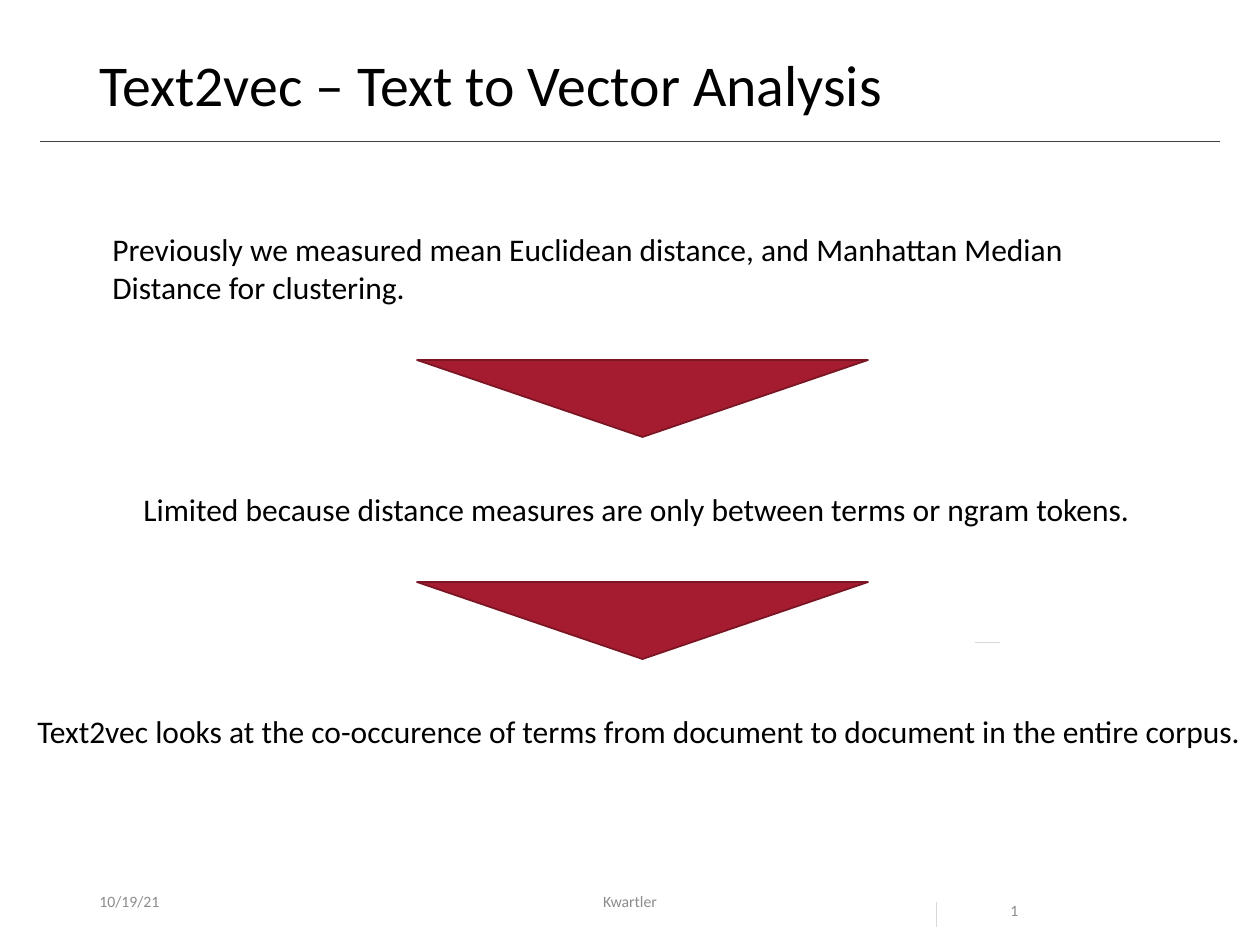
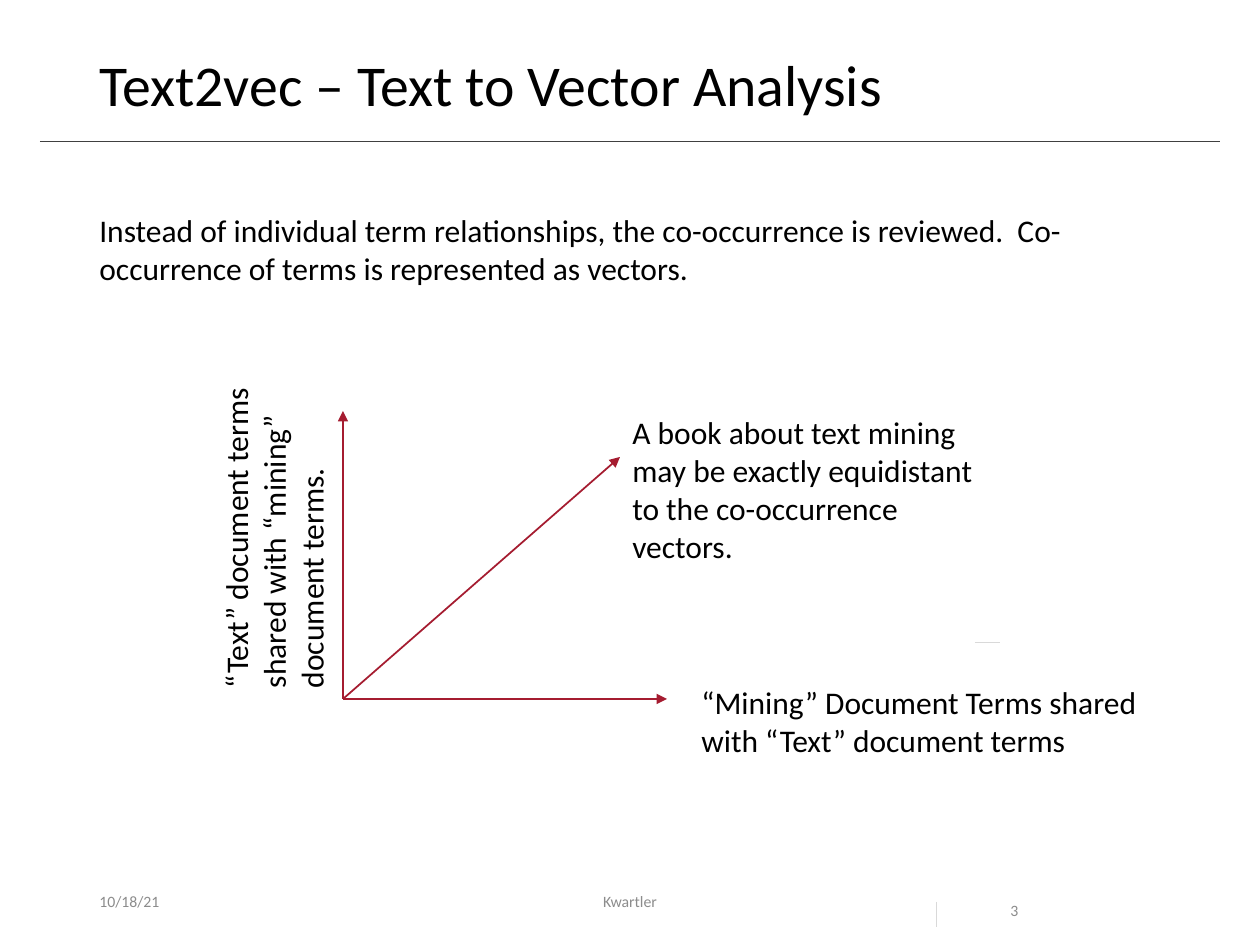
from dataclasses import dataclass

from lxml.etree import SubElement
from pptx import Presentation
from pptx.dml.color import RGBColor as Color
from pptx.enum.shapes import MSO_CONNECTOR as Link, MSO_SHAPE as Shape
from pptx.enum.text import MSO_ANCHOR as Anchor, MSO_AUTO_SIZE as Fit, PP_ALIGN as Align
from pptx.oxml.ns import qn
from pptx.util import Pt

SCALE = 914400 / 126  # EMU in one pixel


@dataclass(frozen=True)
class Theme:
    """Colours, font and type sizes shared by every slide."""
    font: str = "Calibri"
    title_size: int = 33
    body_size: int = 18
    footer_size: int = 9
    ink: str = "000000"
    grey: str = "8C8C8C"
    rule: str = "404040"
    tick: str = "D9D9D9"
    crimson: str = "A51C30"
    dark_crimson: str = "7A1524"


@dataclass(frozen=True)
class Box:
    """A rectangle in pixels."""
    left: int
    top: int
    width: int
    height: int

    def inner(self, left, top, width, height):
        """Return a box placed relative to this one."""
        return Box(self.left + left, self.top + top, width, height)

    def emu(self):
        """Return left, top, width and height in EMU."""
        return [emu(n) for n in (self.left, self.top, self.width, self.height)]


THEME = Theme()
PAGE = Box(0, 0, 1260, 945)
HEADER = Box(40, 50, 1180, 91)
FOOTER = Box(87, 876, 1086, 50)
TITLE = "Text2vec – Text to Vector Analysis"


def emu(pixels):
    """Turn pixels into EMU."""
    return round(pixels * SCALE)


def add_text(page, box, text, size=THEME.body_size, color=THEME.ink, align=None,
             anchor=Anchor.TOP, spacing=None, wrap=True, fit=Fit.SHAPE_TO_FIT_TEXT):
    """Add a text box holding one paragraph."""
    label = page.shapes.add_textbox(*box.emu())
    frame = label.text_frame
    frame.word_wrap, frame.auto_size, frame.vertical_anchor = wrap, fit, anchor
    para = frame.paragraphs[0]
    para.text, para.alignment, para.line_spacing = text, align, spacing
    para.font.name, para.font.size = THEME.font, Pt(size)
    para.font.color.rgb = Color.from_string(color)
    return label


def add_line(page, start, end, color, width=0.5, arrow=False):
    """Add a straight line, with an arrowhead at its end if asked."""
    line = page.shapes.add_connector(Link.STRAIGHT, *map(emu, start + end))
    line.line.color.rgb = Color.from_string(color)
    line.line.width = Pt(width)
    properties = line._element.spPr
    if arrow:
        SubElement(properties.find(qn("a:ln")), qn("a:tailEnd"), type="triangle")
    SubElement(properties, qn("a:effectLst"))


def add_header(page, box):
    """Add the title and the rule below it."""
    bottom = box.top + box.height
    add_line(page, (box.left, bottom), (box.left + box.width, bottom), THEME.rule)
    add_text(page, box.inner(47, 0, 1086, 82), TITLE, THEME.title_size,
             spacing=0.9, fit=Fit.NONE)


def add_footer(page, box, date, number):
    """Add the date, author, slide number and the two pale ticks."""
    small = dict(size=THEME.footer_size, color=THEME.grey, fit=Fit.NONE)
    add_text(page, box.inner(0, 0, 284, box.height), date, anchor=Anchor.MIDDLE, **small)
    add_text(page, box.inner(330, 0, 426, box.height), "Kwartler",
             align=Align.CENTER, anchor=Anchor.MIDDLE, **small)
    add_text(page, box.inner(911, 0, 118, box.height), number, spacing=2.0, **small)
    add_line(page, (box.left + 849, box.top + 26), (box.left + 849, box.top + 51), THEME.tick)
    add_line(page, (box.left + 888, box.top - 234), (box.left + 913, box.top - 234), THEME.tick)


def add_page(deck, date, number):
    """Add a blank slide with the shared header and footer."""
    page = deck.slides.add_slide(deck.slide_layouts[6])
    add_header(page, HEADER)
    add_footer(page, FOOTER, date, number)
    return page


def add_steps(page, box, opening, steps):
    """Add an opening text, then a downward triangle and a line for each step."""
    pitch = 222
    add_text(page, box.inner(100, 0, 1086, 90), opening)
    for index, (text, left, width) in enumerate(steps):
        top = index * pitch
        triangle = page.shapes.add_shape(Shape.ISOSCELES_TRIANGLE,
                                         *box.inner(417, top + 136, 451, 77).emu())
        triangle.rotation = 180
        triangle.shadow.inherit = False
        triangle.fill.solid()
        triangle.fill.fore_color.rgb = Color.from_string(THEME.crimson)
        triangle.line.color.rgb = Color.from_string(THEME.dark_crimson)
        triangle.line.width = Pt(1)
        add_text(page, box.inner(left, top + 260, width, 50), text, wrap=False)


def add_vector_plot(page, box, across, upward, diagonal):
    """Add two axes and a diagonal vector from one origin, with their labels."""
    origin = (box.left, box.top + box.height)
    ends = [(box.left + box.width, origin[1]), (box.left, box.top),
            (box.left + 277, box.top + 46)]
    for end in ends:
        add_line(page, origin, end, THEME.crimson, 1, arrow=True)
    add_text(page, box.inner(346, 266, 499, 90), across)
    add_text(page, box.inner(-245, 50, 352, 127), upward).rotation = 270
    add_text(page, box.inner(277, -4, 392, 165), diagonal)


def main():
    """Build and save the deck."""
    deck = Presentation()
    deck.slide_width, deck.slide_height = emu(PAGE.width), emu(PAGE.height)

    page = add_page(deck, "10/19/21", "1")
    add_steps(
        page, Box(0, 224, PAGE.width, 532),
        "Previously we measured mean Euclidean distance, and Manhattan Median "
        "Distance for clustering.",
        [("Limited because distance measures are only between terms or ngram tokens.",
          131, 1023),
         ("Text2vec looks at the co-occurence of terms from document to document "
          "in the entire corpus.", 25, 1235)])

    page = add_page(deck, "10/18/21", "3")
    add_text(page, Box(87, 205, 1086, 90),
             "Instead of individual term relationships, the co-occurrence is reviewed.  "
             "Co-occurrence of terms is represented as vectors.")
    add_vector_plot(
        page, Box(343, 411, 324, 288),
        "“Mining” Document Terms shared with “Text” document terms",
        "“Text” document terms shared with “mining” document terms.",
        "A book about text mining may be exactly equidistant to the co-occurrence vectors.")

    deck.save("out.pptx")


main()
